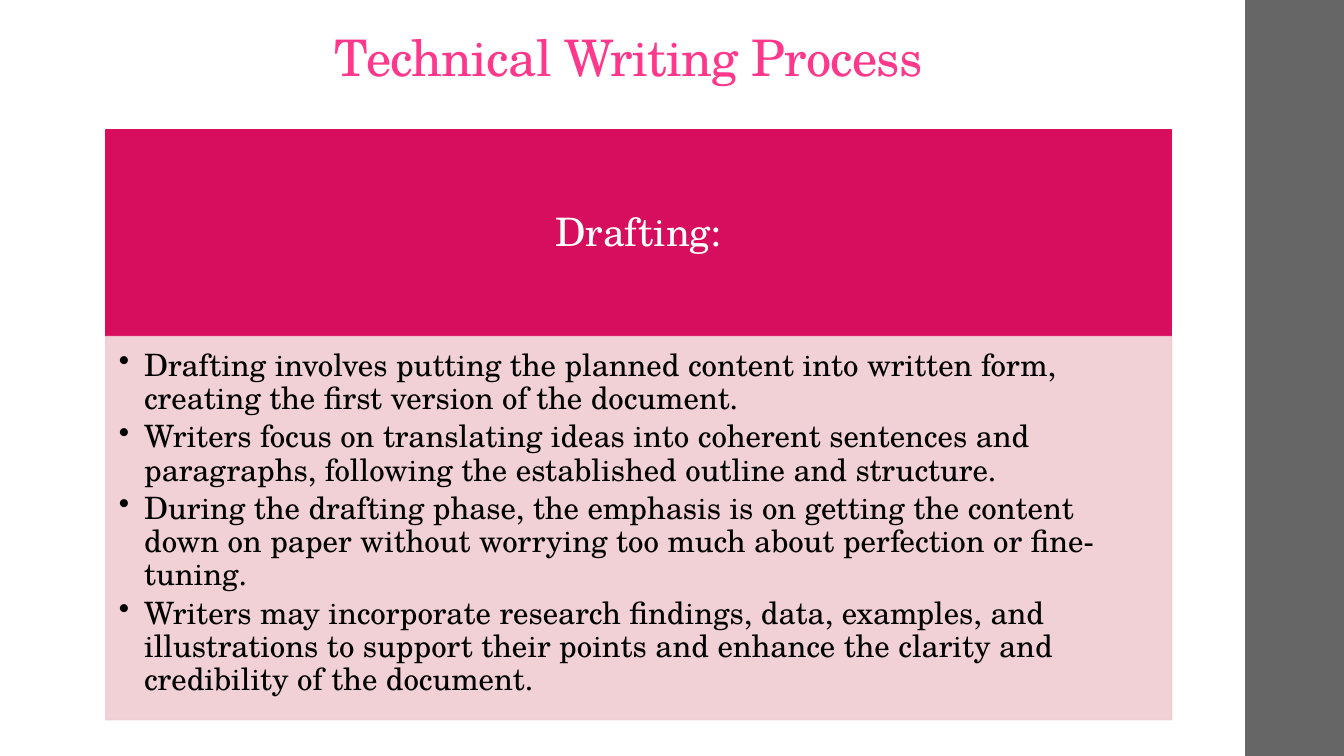
from lxml import etree
from pptx import Presentation, util as u
from pptx.dml.color import RGBColor
from pptx.enum import shapes, text
from pptx.oxml.ns import qn

WIDE, HIGH = 13.33, 7.5
FONT = "TeX Gyre Schola"
PINK, ROSE, BLUSH, GRAY = "FF388C", "D70D5E", "F0CCD2", "666666"
LEFT, SPAN = 1.05, 10.57  # column shared by both panels
POINTS = [
    "Drafting involves putting the planned content into written form, "
    "creating the first version of the document.",
    "Writers focus on translating ideas into coherent sentences and "
    "paragraphs, following the established outline and structure.",
    "During the drafting phase, the emphasis is on getting the content down "
    "on paper without worrying too much about perfection or fine-tuning.",
    "Writers may incorporate research findings, data, examples, and "
    "illustrations to support their points and enhance the clarity and "
    "credibility of the document.",
]


def color(code):
    return RGBColor.from_string(code)


def style(para, size, code, align):
    para.alignment = align
    para.line_spacing = 0.9
    font = para.font
    font.name, font.size = FONT, u.Pt(size)
    font.color.rgb = color(code)


def setup(frame, pads, anchor):
    frame.word_wrap = True
    frame.auto_size = text.MSO_AUTO_SIZE.NONE
    frame.vertical_anchor = anchor
    (frame.margin_left, frame.margin_top,
     frame.margin_right, frame.margin_bottom) = map(u.Inches, pads)


def panel(slide, box, code, edge=True, alpha=None):
    """Plain filled rectangle, with an edge in the same colour."""
    rect = slide.shapes.add_shape(shapes.MSO_SHAPE.RECTANGLE,
                                  *map(u.Inches, box))
    rect.shadow.inherit = False
    rect.fill.solid()
    rect.fill.fore_color.rgb = color(code)
    if edge:
        rect.line.color.rgb = color(code)
        rect.line.width = u.Pt(1.1)
    else:
        rect.line.fill.background()
    if alpha:
        for tint in rect._element.spPr.iter(qn("a:srgbClr")):
            etree.SubElement(tint, qn("a:alpha"), val=str(alpha * 1000))
    return rect


def heading(slide, box, words):
    title = slide.shapes.title
    title.left, title.top, title.width, title.height = map(u.Inches, box)
    frame = title.text_frame
    setup(frame, (0.1, 0.03, 0.1, 0.05), text.MSO_ANCHOR.BOTTOM)
    frame.text = words
    para = frame.paragraphs[0]
    style(para, 36, PINK, text.PP_ALIGN.CENTER)
    para.runs[0]._r.get_or_add_rPr().set("spc", "-50")


def banner(slide, box, words):
    frame = panel(slide, box, ROSE).text_frame
    setup(frame, (0.22, 0.12, 0.22, 0.12), text.MSO_ANCHOR.MIDDLE)
    frame.text = words
    style(frame.paragraphs[0], 28, "FFFFFF", text.PP_ALIGN.CENTER)


def details(slide, box, points):
    frame = panel(slide, box, BLUSH, alpha=90).text_frame
    setup(frame, (0.13, 0.13, 0.17, 0.19), text.MSO_ANCHOR.TOP)
    for i, point in enumerate(points):
        para = frame.add_paragraph() if i else frame.paragraphs[0]
        para.text = point
        para.level = 1
        props = para._p.get_or_add_pPr()
        props.set("marL", str(u.Inches(0.25)))
        props.set("indent", str(-u.Inches(0.25)))
        etree.SubElement(props, qn("a:buChar"), char="•")
        style(para, 22, "000000", text.PP_ALIGN.LEFT)
        para.space_after = u.Pt(3.6)


def main():
    deck = Presentation()
    deck.slide_width, deck.slide_height = u.Inches(WIDE), u.Inches(HIGH)
    slide = deck.slides.add_slide(deck.slide_layouts[5])
    # Side band
    panel(slide, (12.35, 0, WIDE - 12.35, HIGH), GRAY, edge=False)
    # Title and the two stacked panels
    heading(slide, (0.95, 0.28, SPAN, 0.64), "Technical Writing Process")
    banner(slide, (LEFT, 1.29, SPAN, 2.05), "Drafting:")
    details(slide, (LEFT, 3.34, SPAN, 3.8), POINTS)
    deck.save("out.pptx")


if __name__ == "__main__":
    main()
